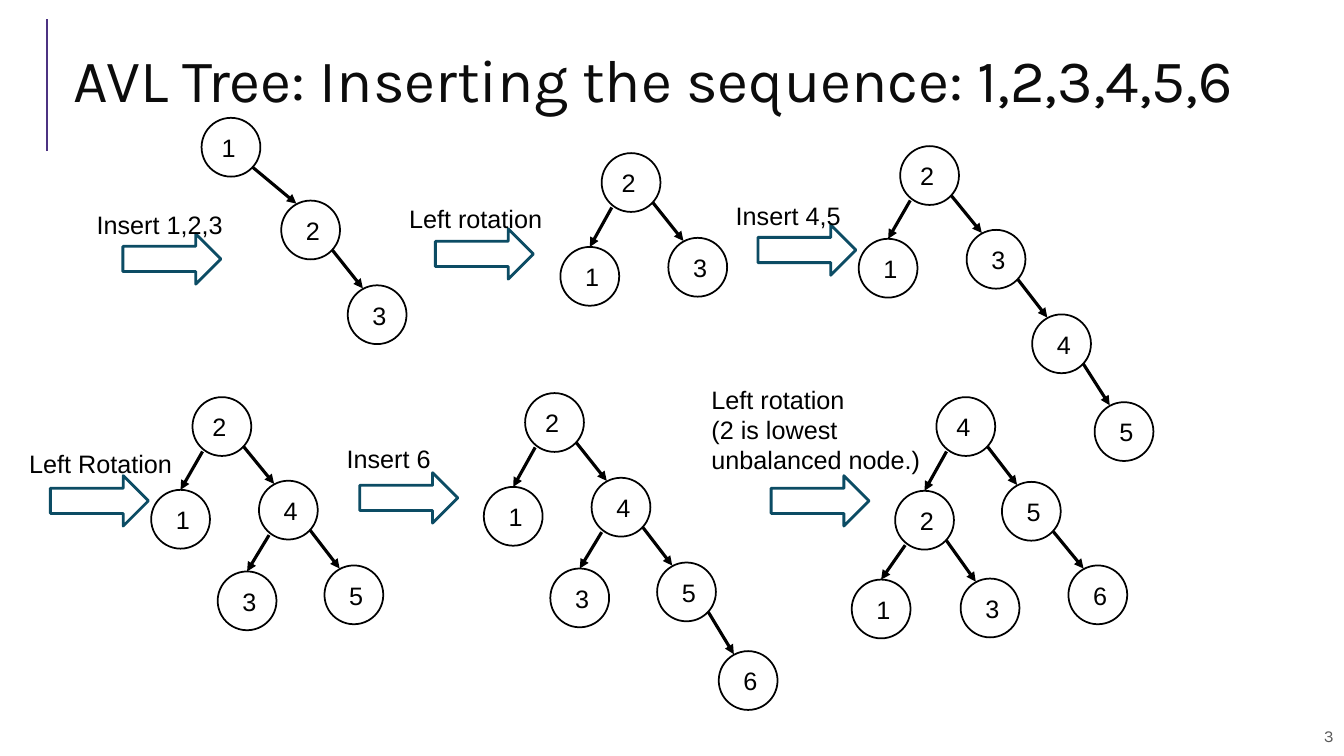
from pptx import Presentation
from pptx.dml.color import RGBColor
from pptx.enum.shapes import MSO_CONNECTOR, MSO_SHAPE
from pptx.enum.text import MSO_ANCHOR, PP_ALIGN
from pptx.oxml.ns import qn
from pptx.util import Pt
from lxml import etree

STRAIGHT = MSO_CONNECTOR.STRAIGHT
ELLIPSE = MSO_SHAPE.OVAL
RIGHT_ARROW = MSO_SHAPE.RIGHT_ARROW
MIDDLE = MSO_ANCHOR.MIDDLE
TOP = MSO_ANCHOR.TOP
LEFT = PP_ALIGN.LEFT
RIGHT = PP_ALIGN.RIGHT

BLACK = RGBColor(0x00, 0x00, 0x00)
WHITE = RGBColor(0xFF, 0xFF, 0xFF)
TITLE_INK = RGBColor(0x0C, 0x0C, 0x0C)
GREY = RGBColor(0x59, 0x59, 0x59)
PURPLE = RGBColor(0x4C, 0x32, 0x82)
TEAL = RGBColor(0x0C, 0x4C, 0x64)

NODE_SIZE = 42

# Each node: value, parent value, left, top
TREES = [
    [(1, None, 144, 84.2), (2, 1, 200.9, 143.3), (3, 2, 248.4, 203.8)],
    [(2, None, 429.8, 109.4), (1, 2, 400.3, 176.4), (3, 2, 477.4, 169.9)],
    [(2, None, 643, 104.4), (1, 2, 613.4, 170.6), (3, 2, 690.5, 164.2),
     (4, 3, 737.3, 224.6), (5, 4, 781.9, 287.3)],
    [(2, None, 137.5, 283.7), (1, 2, 108, 349.9), (4, 2, 185, 343.4),
     (3, 4, 155.5, 408.2), (5, 4, 231.8, 403.9)],
    [(2, None, 375.1, 280.8), (1, 2, 345.6, 347.8), (4, 2, 422.6, 341.3),
     (3, 4, 393.1, 406.1), (5, 4, 469.4, 401.8), (6, 5, 513.4, 465.1)],
    [(4, None, 668.9, 283.7), (2, 4, 639.4, 350.6), (5, 4, 715.7, 344.2),
     (1, 2, 608.4, 414), (3, 2, 686.2, 413.3), (6, 5, 763.2, 403.9)],
]

# Each step: arrow left and top, label left, top, width and height, label lines
STEPS = [
    ((87.8, 167), (61.9, 146.2, 114.5, 29), ["Insert 1,2,3"]),
    ((311, 163.4), (285.1, 141.8, 114.5, 29), ["Left rotation"]),
    ((541.4, 160.6), (518.4, 139.7, 114.5, 29), ["Insert 4,5"]),
    ((36, 339.8), (13.7, 316.8, 116.6, 29), ["Left Rotation"]),
    ((257, 337.7), (240.5, 313.2, 92.2, 29), ["Insert 6"]),
    ((550.8, 339.8), (501.1, 270.7, 182.2, 94.3),
     ["Left rotation", "(2 is lowest unbalanced node.)"]),
]


def add_text(page, bounds, lines, size=18, font="Arial", color=BLACK,
             align=LEFT, anchor=TOP, wrap=True, spacing=1.0):
    box = page.shapes.add_textbox(*map(Pt, bounds))
    frame = box.text_frame
    frame.word_wrap = wrap
    frame.vertical_anchor = anchor
    for index, line in enumerate(lines):
        para = frame.add_paragraph() if index else frame.paragraphs[0]
        para.alignment = align
        para.line_spacing = spacing
        span = para.add_run()
        span.text = line
        span.font.size = Pt(size)
        span.font.name = font
        span.font.color.rgb = color


def add_outlined(page, kind, bounds, color, weight):
    shape = page.shapes.add_shape(kind, *map(Pt, bounds))
    shape.shadow.inherit = False
    shape.fill.solid()
    shape.fill.fore_color.rgb = WHITE
    shape.line.color.rgb = color
    shape.line.width = Pt(weight)
    return shape


def add_line(page, start, end, color, weight, arrow=False):
    line = page.shapes.add_connector(STRAIGHT, *map(Pt, (*start, *end)))
    line.line.color.rgb = color
    line.line.width = Pt(weight)
    if arrow:
        outline = line.line._get_or_add_ln()
        etree.SubElement(outline, qn("a:tailEnd"), type="triangle")
    etree.SubElement(line._element.spPr, qn("a:effectLst"))
    return line


def add_edge(page, parent, child, goes_left):
    """Join two circles: to the child's top on the left, its upper left on the right."""
    x, y = parent.left.pt, parent.top.pt
    child_x, child_y = child.left.pt, child.top.pt
    if goes_left:
        edge = add_line(page, (x + 7.2, y + 38.8), (child_x + NODE_SIZE / 2, child_y),
                        BLACK, 2.25, arrow=True)
        edge.end_connect(child, 0)
    else:
        add_line(page, (x + 36.5, y + 35.3), (child_x + 10.8, child_y + 2.2),
                 BLACK, 2.25, arrow=True)


def add_tree(page, nodes):
    circles = {}
    for value, parent, x, y in nodes:
        circles[value] = add_outlined(page, ELLIPSE, (x, y, NODE_SIZE, NODE_SIZE),
                                      BLACK, 1.25)
        inset = 7.2 if parent is None else 10.6
        add_text(page, (x + inset, y + 6.8, 24.5, 29), [str(value)], wrap=False)
        if parent is not None:
            add_edge(page, circles[parent], circles[value], value < parent)


def add_step(page, arrow_corner, label_bounds, lines):
    add_outlined(page, RIGHT_ARROW, (*arrow_corner, 70, 36), TEAL, 2)
    add_text(page, label_bounds, lines)


def main():
    deck = Presentation()
    deck.slide_width, deck.slide_height = Pt(960), Pt(540)
    page = deck.slides.add_slide(deck.slide_layouts[6])
    add_line(page, (33.8, 108), (33.8, 13.7), PURPLE, 1.5)
    add_text(page, (622.8, 511.2, 337, 28.8), ["3"], 12, "Karla", GREY,
             align=RIGHT, anchor=MIDDLE)
    add_text(page, (45.4, 20.9, 880.6, 79.9),
             ["AVL Tree: Inserting the sequence: 1,2,3,4,5,6"], 43, "Karla",
             TITLE_INK, anchor=MIDDLE, spacing=0.8)
    for nodes in TREES:
        add_tree(page, nodes)
    for step in STEPS:
        add_step(page, *step)
    deck.save("out.pptx")


if __name__ == "__main__":
    main()
